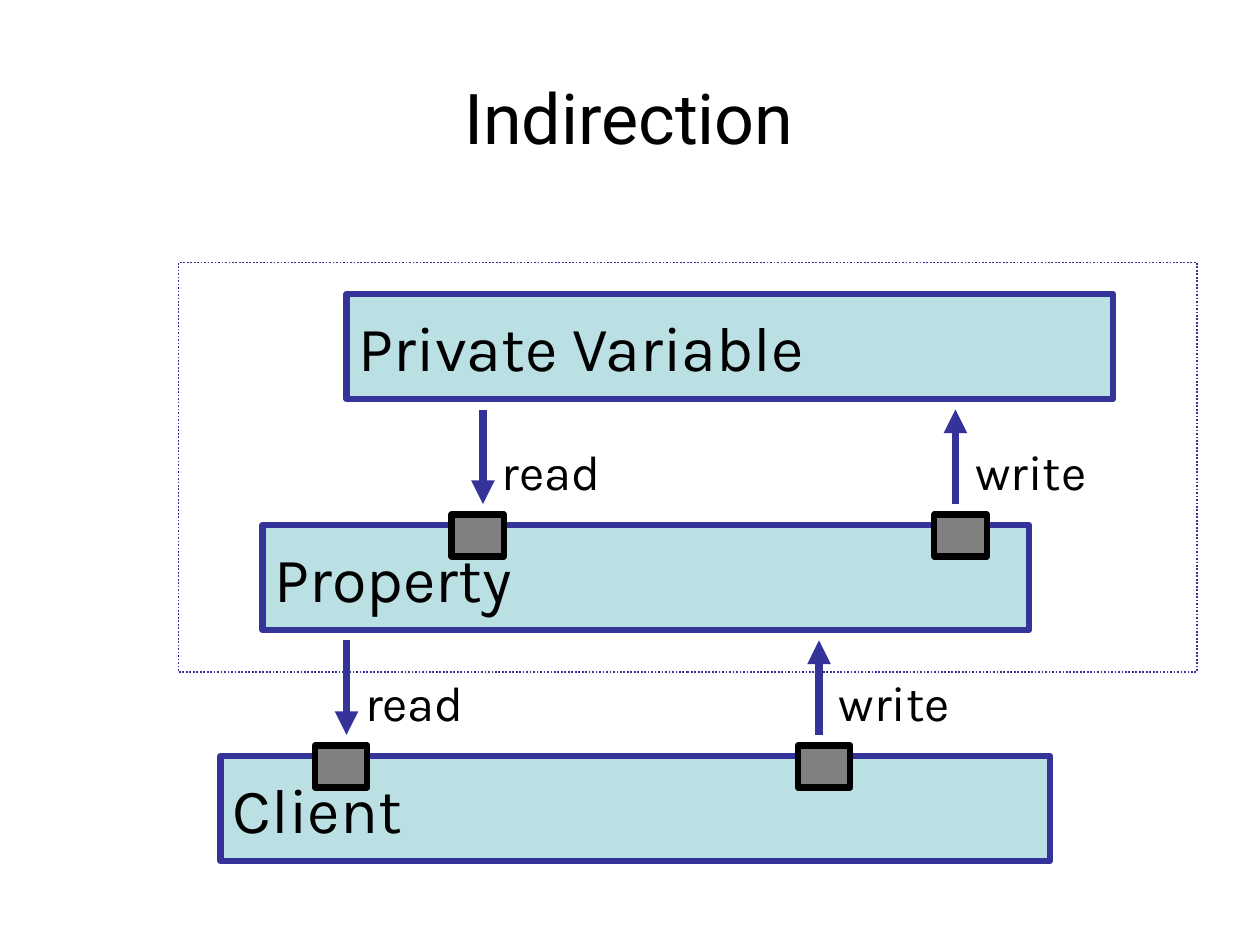
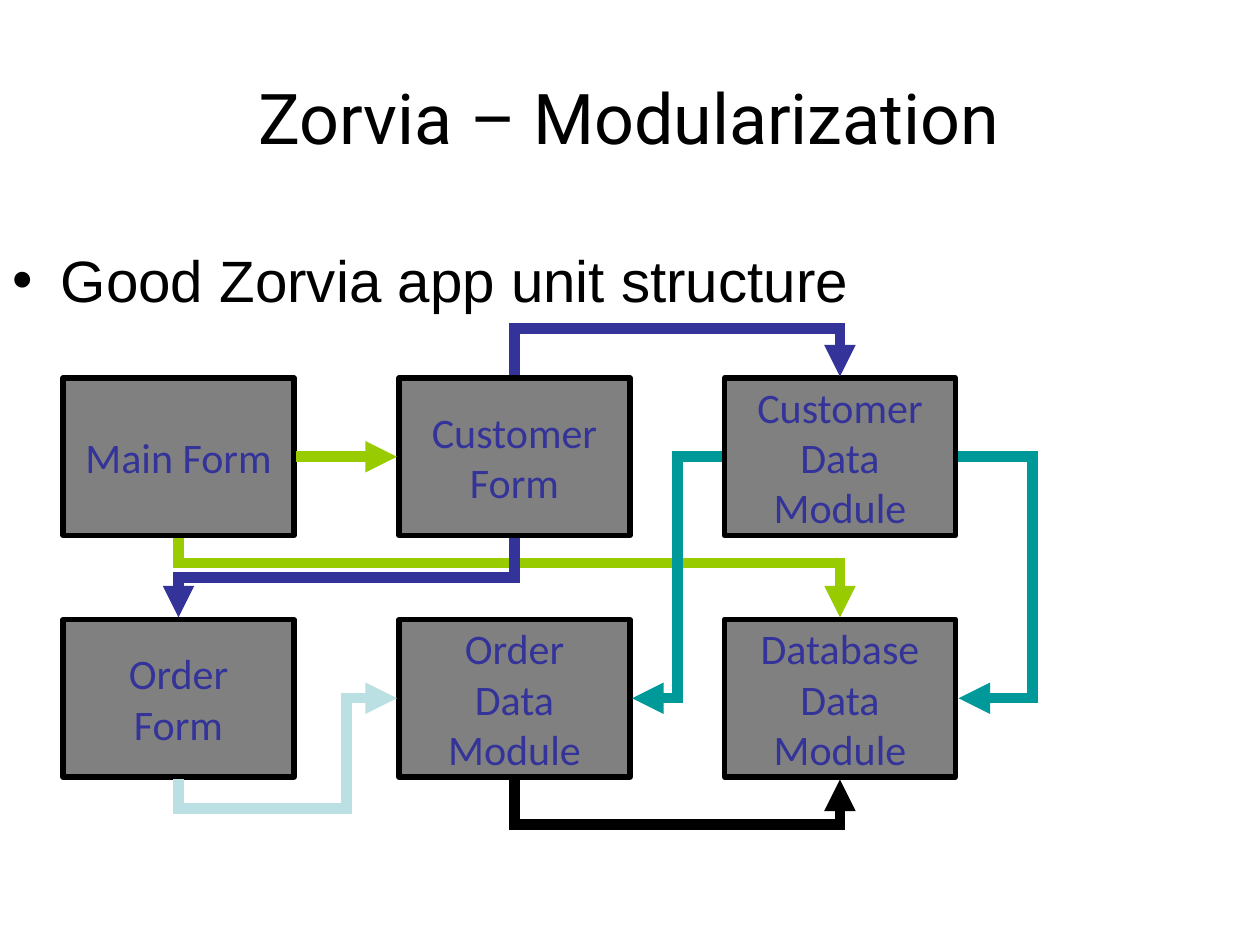
from dataclasses import dataclass

from lxml import etree
from pptx import Presentation
from pptx.dml.color import RGBColor
from pptx.enum.dml import MSO_LINE
from pptx.enum.shapes import MSO_CONNECTOR, MSO_SHAPE
from pptx.enum.text import MSO_ANCHOR, MSO_AUTO_SIZE, PP_ALIGN
from pptx.oxml.ns import qn
from pptx.util import Pt

RECTANGLE = MSO_SHAPE.RECTANGLE
STRAIGHT, ELBOW = MSO_CONNECTOR.STRAIGHT, MSO_CONNECTOR.ELBOW
LEFT, CENTER = PP_ALIGN.LEFT, PP_ALIGN.CENTER
TOP, MIDDLE = MSO_ANCHOR.TOP, MSO_ANCHOR.MIDDLE
GROW = MSO_AUTO_SIZE.SHAPE_TO_FIT_TEXT
DOTTED = MSO_LINE.ROUND_DOT

EMU_PER_PX = 7620  # 120 px to the inch
SLIDE_BOX = (0, 0, 1200, 900)


@dataclass(frozen=True)
class Theme:
    black: str = "000000"
    grey: str = "808080"
    navy: str = "333399"
    pale: str = "BBE0E3"
    lime: str = "99CC00"
    teal: str = "009999"
    title: tuple = ("Roboto", 40)
    bullet: tuple = ("Arial", 33.3)
    layer: tuple = ("Karla", 36)
    label: tuple = ("Karla", 28)
    module: tuple = ("Calibri", 24)


THEME = Theme()


def px(*lengths):
    return [round(length * EMU_PER_PX) for length in lengths]


def rgb(color):
    return RGBColor.from_string(color)


def write(shape, text, style, color=THEME.black, align=LEFT, anchor=MIDDLE, wrap=False):
    frame = shape.text_frame
    frame.text = text
    frame.word_wrap = wrap
    frame.vertical_anchor = anchor
    paragraph = frame.paragraphs[0]
    paragraph.alignment = align
    for run in paragraph.runs:
        run.font.name, size = style
        run.font.size = Pt(size)
        run.font.color.rgb = rgb(color)
    return frame


def add_text(slide, box, text, style, **layout):
    return write(slide.shapes.add_textbox(*px(*box)), text, style, **layout)


def add_box(slide, box, fill, line, weight):
    shape = slide.shapes.add_shape(RECTANGLE, *px(*box))
    shape.shadow.inherit = False
    if fill:
        shape.fill.solid()
        shape.fill.fore_color.rgb = rgb(fill)
    else:
        shape.fill.background()
    shape.line.color.rgb = rgb(line)
    shape.line.width = Pt(weight)
    return shape


def add_arrow(slide, kind, corners, color, weight):
    arrow = slide.shapes.add_connector(kind, *px(*corners))
    arrow.line.color.rgb = rgb(color)
    arrow.line.width = Pt(weight)
    stroke = arrow.line._get_or_add_ln()
    etree.SubElement(stroke, qn("a:miter"), lim="800000")
    etree.SubElement(stroke, qn("a:tailEnd"), type="triangle")
    etree.SubElement(arrow._element.spPr, qn("a:effectLst"))
    return arrow


def add_bent_arrow(slide, start, end, bends, turn, flips, color):
    """Route from start to end; bends hold the coordinate of each middle leg in turn.

    A turn of 90 or 270 degrees makes the first leg vertical.
    """
    first = 1 if turn in (90, 270) else 0
    axes = (first, 1 - first)
    spans = [end[axis] - start[axis] or 1 for axis in axes]
    width, height = (abs(span) for span in spans)
    center_x, center_y = ((a + b) / 2 for a, b in zip(start, end))
    left, top = center_x - width / 2, center_y - height / 2
    arrow = add_arrow(slide, ELBOW, (left, top, left + width, top + height), color, 6)

    properties = arrow._element.spPr
    frame = properties.find(qn("a:xfrm"))
    frame.set("rot", str(turn * 60000))
    for flip in flips:
        frame.set("flip" + flip, "1")
    geometry = properties.find(qn("a:prstGeom"))
    geometry.set("prst", f"bentConnector{len(bends) + 2}")
    guides = geometry.find(qn("a:avLst"))
    for number, (bend, axis, span) in enumerate(zip(bends, axes, spans), 1):
        ratio = round((bend - start[axis]) / span * 100000)
        etree.SubElement(guides, qn("a:gd"), name=f"adj{number}", fmla=f"val {ratio}")


def add_title(slide, box, text):
    left, top, width, _ = box
    add_text(slide, (left + 32, top + 36, width - 66, 150), text, THEME.title,
             align=CENTER, wrap=True)


def add_layer(slide, box, text):
    write(add_box(slide, box, THEME.pale, THEME.navy, 3.5), text, THEME.layer)


def add_exchange(slide, left, top):
    """Read and write arrows between two layers, each with its label and port."""
    height, write_left = 90, left + 450
    bottom = top + height
    exchanges = (
        ("read", left, top, bottom, 6, 124, 30),
        ("write", write_left, bottom, top, 7, 134, 20),
    )
    for text, x, start, end, gap, width, port_shift in exchanges:
        add_arrow(slide, STRAIGHT, (x, start, x, end), THEME.navy, 4.5)
        label = add_text(slide, (x + gap, top + 24, width, 68), text, THEME.label)
        label.auto_size = GROW
        add_box(slide, (x - port_shift, bottom + 10, 50, 40), THEME.grey, THEME.black, 3.5)


def add_layers(slide, box):
    left, top, width, height = box
    layers = (("Private Variable", 160, 730), ("Property", 80, 730), ("Client", 40, 790))
    for row, (text, shift, layer_width) in enumerate(layers):
        add_layer(slide, (left + shift, top + 30 + 220 * row, layer_width, 100), text)
    for row, shift in enumerate((290, 160)):
        add_exchange(slide, left + shift, top + 140 + 220 * row)
    enclosure = add_box(slide, (left, top, width, height), None, THEME.navy, 1)
    enclosure.line.dash_style = DOTTED


def add_bullet(slide, box, text):
    frame = add_text(slide, box, text, THEME.bullet, anchor=TOP, wrap=True)
    frame.margin_top = px(13)[0]
    indent = px(46)[0]
    properties = frame.paragraphs[0]._p.get_or_add_pPr()
    properties.set("marL", str(indent))
    properties.set("indent", str(-indent))
    etree.SubElement(properties, qn("a:buFont"), typeface="Arial")
    etree.SubElement(properties, qn("a:buChar"), char="•")


def add_modules(slide, box):
    left, top, width, height = box
    columns = (0, 320, 630)
    rows = (
        ("Main Form", "Customer\vForm", "Customer\vData\vModule"),
        ("Order\vForm", "Order\vData\vModule", "Database\vData\vModule"),
    )
    for row, names in enumerate(rows):
        for column, name in zip(columns, names):
            module = add_box(slide, (left + column, top + 230 * row, width, height),
                             THEME.grey, THEME.black, 3)
            write(module, name, THEME.module, color=THEME.navy, align=CENTER)

    edge = 2
    form, customer, data = (left + column + width // 2 for column in columns)
    upper, lower = top + height // 2, top + 230 + height // 2
    above, under_upper = top - edge, top + height + edge
    over_lower, below = top + 230 - edge, top + 230 + height + edge
    form_right = left + width + edge
    order_left = left + columns[1] - edge
    order_right = left + columns[1] + width + edge
    data_left = left + columns[2] - edge
    data_right = left + columns[2] + width + edge

    add_arrow(slide, STRAIGHT, (form_right, upper, order_left, upper), THEME.lime, 6)
    routes = (
        ((form, under_upper), (data, over_lower), (top + 176,), 270, "H", THEME.lime),
        ((customer, above), (data, above), (top - 47,), 270, "H", THEME.navy),
        ((customer, under_upper), (form, over_lower), (top + 190,), 90, "", THEME.navy),
        ((data_left, upper), (order_right, lower), (data_left - 43,), 180, "V", THEME.teal),
        ((data_right, upper), (data_right + 1, lower), (data_right + 72,), 0, "", THEME.teal),
        ((customer, below), (data, below), (below + 44,), 270, "H", THEME.black),
        ((form, below), (order_left, lower), (below + 28, order_left - 48), 90, "HV",
         THEME.pale),
    )
    for route in routes:
        add_bent_arrow(slide, *route)


def build_indirection(slide, box):
    left, top, _, _ = box
    add_title(slide, box, "Indirection")
    add_layers(slide, (left + 170, top + 250, 970, 390))


def build_modularization(slide, box):
    left, top, _, _ = box
    add_title(slide, box, "Zorvia – Modularization")
    add_bullet(slide, (left, top + 220, 960, 80), "Good Zorvia app unit structure")
    add_modules(slide, (left + 60, top + 360, 220, 150))


def main():
    deck = Presentation()
    deck.slide_width, deck.slide_height = px(*SLIDE_BOX[2:])
    blank = deck.slide_layouts[6]
    for build in (build_indirection, build_modularization):
        build(deck.slides.add_slide(blank), SLIDE_BOX)
    deck.save("out.pptx")


if __name__ == "__main__":
    main()
